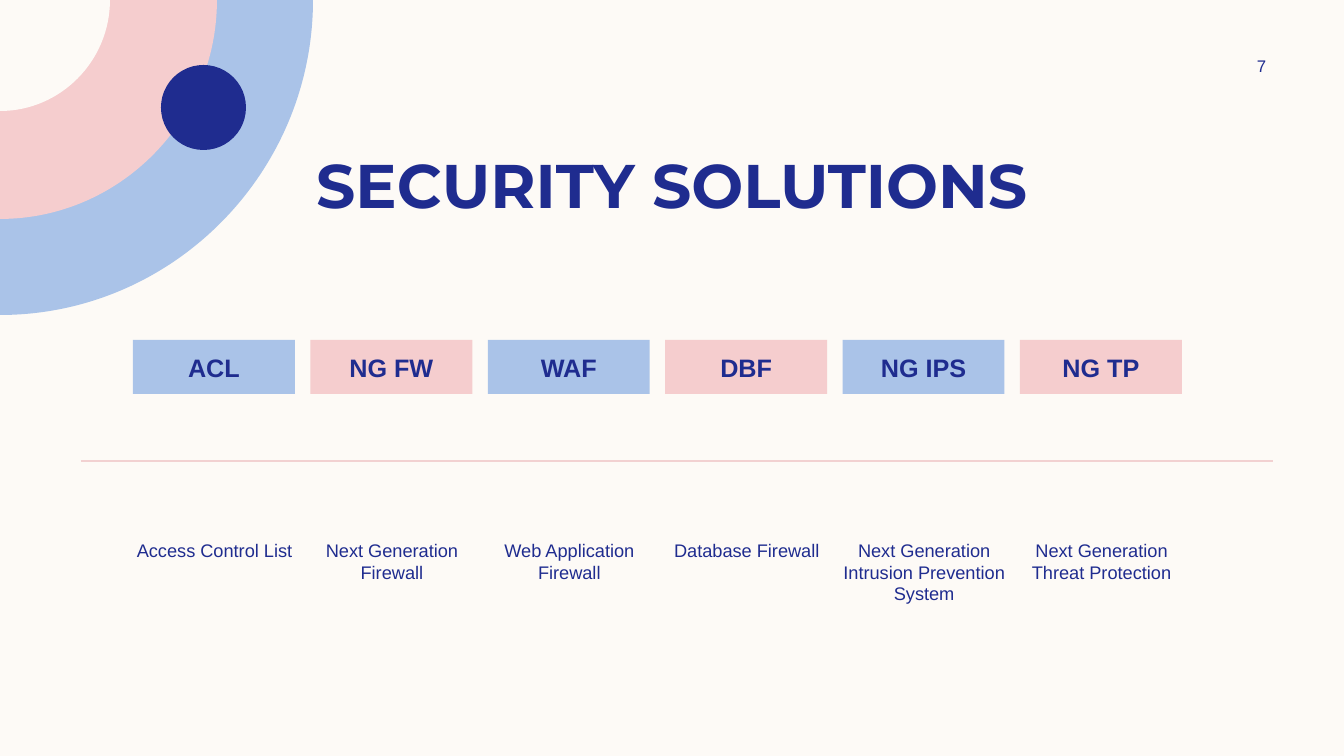
from lxml import etree
from pptx import Presentation
from pptx.dml.color import RGBColor
from pptx.enum.shapes import MSO_CONNECTOR, MSO_SHAPE
from pptx.enum.text import MSO_ANCHOR, MSO_AUTO_SIZE, PP_ALIGN
from pptx.oxml.ns import qn
from pptx.util import Pt

STRAIGHT = MSO_CONNECTOR.STRAIGHT
RECTANGLE, OVAL = MSO_SHAPE.RECTANGLE, MSO_SHAPE.OVAL
MIDDLE, TOP = MSO_ANCHOR.MIDDLE, MSO_ANCHOR.TOP
CENTER = PP_ALIGN.CENTER
NO_AUTOFIT = MSO_AUTO_SIZE.NONE

CREAM = RGBColor(0xFD, 0xFA, 0xF6)
BLUE = RGBColor(0xAA, 0xC3, 0xE8)
PINK = RGBColor(0xF5, 0xCD, 0xCE)
NAVY = RGBColor(0x1F, 0x2C, 0x8F)
RULE_PINK = RGBColor(0xF2, 0xD1, 0xD1)

PX = 914400 / 100.8
ARC = 0.55  # handle length of a quarter circle, as a share of its radius


def px(*lengths):
    return [round(length * PX) for length in lengths]


def write(shape, text, size, font="Arial", bold=False, anchor=MIDDLE, inset=(0, 0)):
    """Put one centred navy run in the shape; inset is (sides, top and bottom) in px."""
    frame = shape.text_frame
    frame.word_wrap = True
    frame.auto_size = NO_AUTOFIT
    frame.vertical_anchor = anchor
    frame.margin_left, frame.margin_right = px(inset[0], inset[0])
    frame.margin_top, frame.margin_bottom = px(inset[1], inset[1])
    paragraph = frame.paragraphs[0]
    paragraph.alignment = CENTER
    run = paragraph.add_run()
    run.text = text
    run.font.name = font
    run.font.size = Pt(size)
    run.font.bold = bold
    run.font.color.rgb = NAVY


prs = Presentation()
prs.slide_width, prs.slide_height = px(1344, 756)
slide = prs.slides.add_slide(prs.slide_layouts[5])
slide.background.fill.solid()
slide.background.fill.fore_color.rgb = CREAM
shapes = slide.shapes

# Quarter discs stacked in the top left corner, largest first
for across, down, color in [(313, 315, BLUE), (217, 219, PINK), (110, 111, CREAM)]:
    builder = shapes.build_freeform(0, 0)
    corners = [(across, 0), (across, ARC * down), (ARC * across, down), (0, down)]
    builder.add_line_segments([px(*corner) for corner in corners], close=True)
    disc = builder.convert_to_shape()
    # The last three points become the handles and the end of one curve
    curve, second, end = list(disc._element.iter(qn("a:lnTo")))[1:]
    curve.tag = qn("a:cubicBezTo")
    for segment in (second, end):
        curve.append(segment[0])
        segment.getparent().remove(segment)
    disc.shadow.inherit = False
    disc.fill.solid()
    disc.fill.fore_color.rgb = color
    disc.line.fill.background()

dot = shapes.add_shape(OVAL, *px(161, 65, 85, 85))
dot.shadow.inherit = False
dot.fill.solid()
dot.fill.fore_color.rgb = NAVY
dot.line.fill.background()

divider = shapes.add_connector(STRAIGHT, *px(81, 461, 1273, 461))
divider.line.color.rgb = RULE_PINK
divider.line.width = Pt(1)
etree.SubElement(divider._element.spPr, qn("a:effectLst"))

title = shapes.title
title.left, title.top, title.width, title.height = px(84, 141, 1176, 85)
write(title, "SECURITY SOLUTIONS", 44, font="Montserrat", bold=True, inset=(10, 5))

page_number = shapes.add_textbox(*px(1207, 51, 109, 30))
write(page_number, "7", 12, inset=(10, 5))

solutions = [
    ("ACL", "Access Control List", 54),
    ("NG FW", "Next Generation Firewall", 54),
    ("WAF", "Web Application Firewall", 54),
    ("DBF", "Database Firewall", 54),
    ("NG IPS", "Next Generation Intrusion Prevention System", 72),
    ("NG TP", "Next Generation Threat Protection", 54),
]
FIRST_LEFT, LAST_LEFT = 133, 1020
LABEL_WIDTH, MEANING_WIDTH = 162, 163
pitch = (LAST_LEFT - FIRST_LEFT) / (len(solutions) - 1)
for i, (acronym, meaning, meaning_height) in enumerate(solutions):
    left = FIRST_LEFT + i * pitch
    label = shapes.add_shape(RECTANGLE, *px(left, 340, LABEL_WIDTH, 54))
    label.shadow.inherit = False
    label.fill.solid()
    label.fill.fore_color.rgb = PINK if i % 2 else BLUE
    label.line.fill.background()
    write(label, acronym, 18, bold=True)

    description = shapes.add_textbox(*px(left, 534, MEANING_WIDTH, meaning_height))
    write(description, meaning, 13, anchor=TOP, inset=(0, 5))

prs.save("out.pptx")
